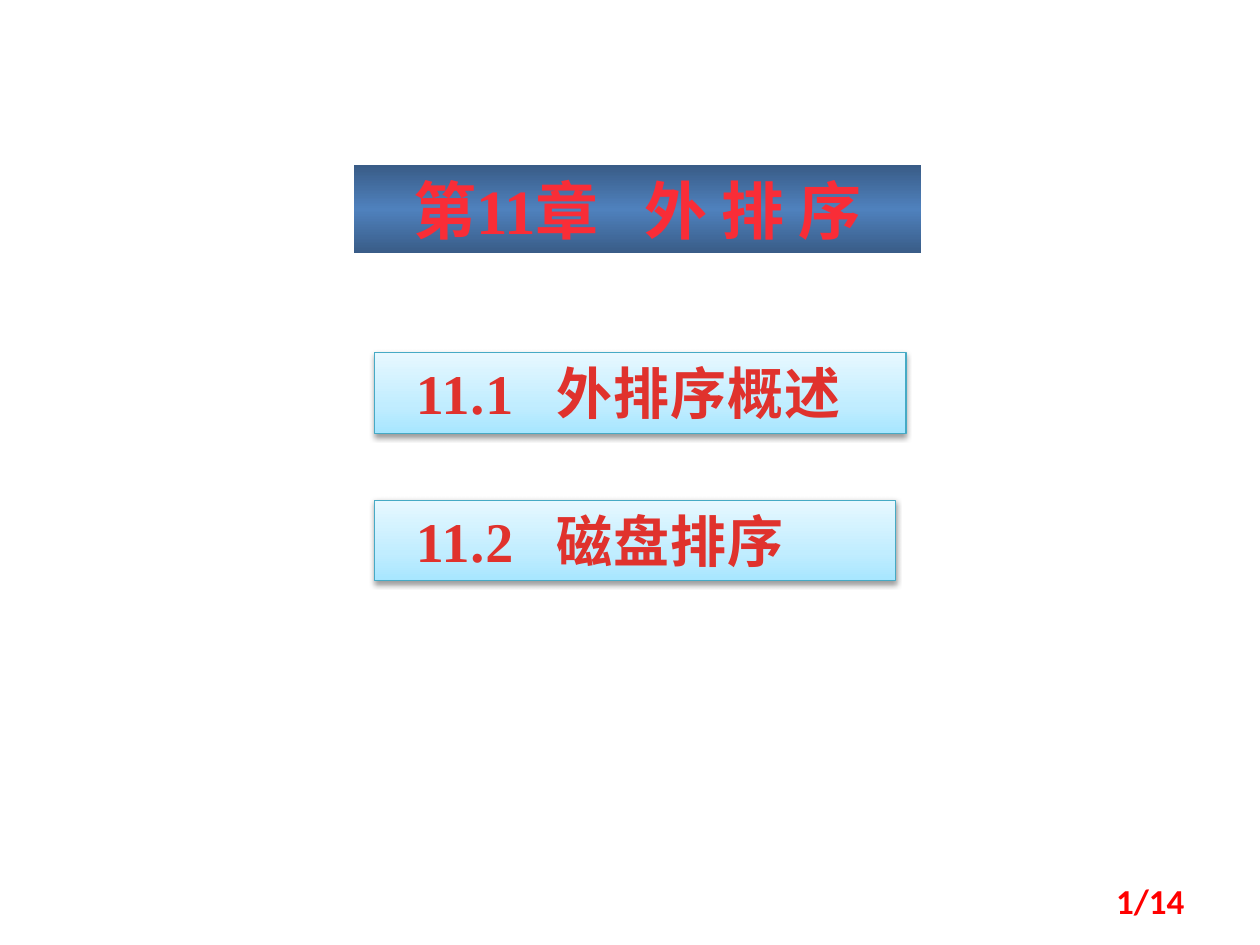
from pptx import Presentation
from pptx.dml.color import RGBColor
from pptx.enum.shapes import MSO_SHAPE
from pptx.enum.text import MSO_ANCHOR, MSO_AUTO_SIZE, PP_ALIGN
from pptx.oxml import parse_xml
from pptx.oxml.ns import nsdecls, qn
from pptx.util import Inches, Pt


def color(hex_value):
    return RGBColor.from_string(hex_value)


def fill_gradient(shape, stops, angle):
    shape.fill.gradient()
    shape.fill.gradient_angle = angle
    stop_list = shape.element.spPr.find(qn("a:gradFill")).find(qn("a:gsLst"))
    for old_stop in list(stop_list):
        stop_list.remove(old_stop)
    for percent, hex_value in stops:
        stop_list.append(parse_xml(
            f'<a:gs {nsdecls("a")} pos="{percent * 1000}">'
            f'<a:srgbClr val="{hex_value}"/></a:gs>'))


prs = Presentation()
prs.slide_width, prs.slide_height = Inches(10), Inches(7.5)
slide = prs.slides.add_slide(prs.slide_layouts[5])

chapter = slide.shapes.title
chapter.left, chapter.top = Inches(2.81), Inches(1.31)
chapter.width, chapter.height = Inches(4.5), Inches(0.7)
fill_gradient(chapter, [(0, "395C87"), (50, "4F81BD"), (100, "395C87")], 270)
chapter_frame = chapter.text_frame
chapter_frame.auto_size = MSO_AUTO_SIZE.NONE
chapter_frame.vertical_anchor = MSO_ANCHOR.TOP
heading = chapter_frame.paragraphs[0]
heading.alignment = PP_ALIGN.CENTER
for words, spacing in [("第11章", 0), (" ", 18), ("外 排 序", 0)]:
    run = heading.add_run()
    run.text = words
    run.font.name = "Times New Roman"
    run.font.size = Pt(36)
    run.font.bold = True
    run.font.color.rgb = color("F92D37")
    run.font._element.set("spc", str(spacing * 100))

sections = [("11.1", "外排序概述", 2.8, 4.22), ("11.2", "磁盘排序", 3.97, 4.14)]
for number, topic, top, width in sections:
    section = slide.shapes.add_shape(
        MSO_SHAPE.RECTANGLE, Inches(2.97), Inches(top), Inches(width), Inches(0.64))
    fill_gradient(section, [(0, "A7E6FF"), (35, "C1EDFF"), (100, "E7F8FF")], 90)
    section.line.color.rgb = color("46AAC5")
    section.line.width = Pt(0.75)
    section.shadow.inherit = False
    section.element.spPr.find(qn("a:effectLst")).append(parse_xml(
        f'<a:outerShdw {nsdecls("a")} blurRad="{Pt(3.1)}" dist="{Pt(1.6)}" '
        'dir="5400000" rotWithShape="0"><a:srgbClr val="000000">'
        '<a:alpha val="38000"/></a:srgbClr></a:outerShdw>'))
    section_frame = section.text_frame
    section_frame.margin_left = Inches(0.33)
    section_frame.vertical_anchor = MSO_ANCHOR.TOP
    entry = section_frame.paragraphs[0]
    entry.alignment = PP_ALIGN.LEFT
    entry._p.get_or_add_pPr().append(parse_xml(
        f'<a:tabLst {nsdecls("a")}><a:tab pos="{Inches(1.12)}" algn="l"/></a:tabLst>'))
    run = entry.add_run()
    run.text = f"{number}\t{topic}"
    run.font._element.set("spc", "50")
    entry.font.name = run.font.name = "Times New Roman"
    entry.font.size = run.font.size = Pt(32)
    entry.font.bold = run.font.bold = True
    entry.font.color.rgb = run.font.color.rgb = color("E0322D")

page_number = slide.shapes.add_textbox(
    Inches(7.17), Inches(6.95), Inches(2.33), Inches(0.4))
page_frame = page_number.text_frame
page_frame.word_wrap = True
page_frame.vertical_anchor = MSO_ANCHOR.MIDDLE
page = page_frame.paragraphs[0]
page.text = "1/14"
page.alignment = PP_ALIGN.RIGHT
page.font.name = "Calibri"
page.font.size = Pt(20)
page.font.bold = True
page.font.color.rgb = color("FF0000")

prs.save("out.pptx")
